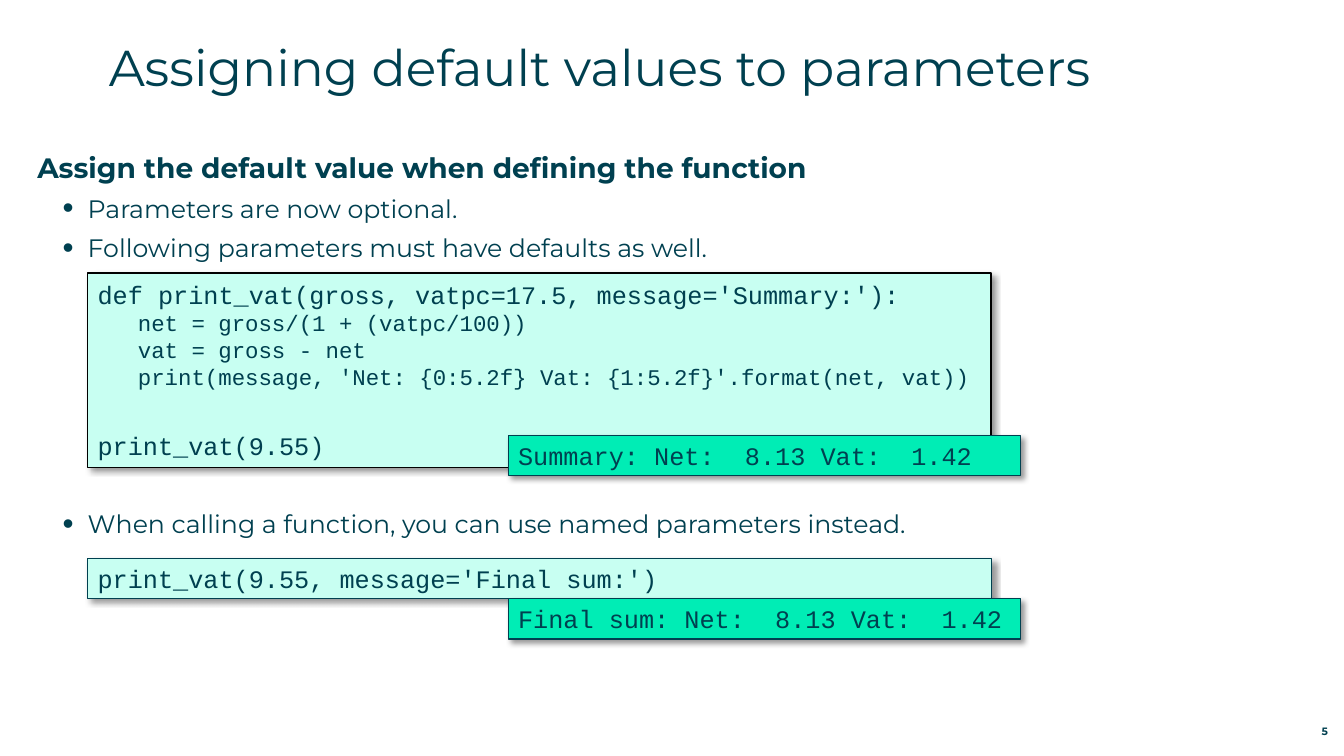
from lxml.etree import SubElement
from pptx import Presentation
from pptx.dml.color import RGBColor
from pptx.enum.shapes import MSO_SHAPE
from pptx.enum.text import MSO_ANCHOR, PP_ALIGN
from pptx.oxml.ns import qn
from pptx.util import Inches, Pt

INK, PALE, MINT = "004050", "C8FFF2", "00EDB5"
BODY, CODE = "Montserrat", "Courier New"


def color(code):
    return RGBColor.from_string(code)


class Deck:
    """Holds the text style and the current slide."""

    def __init__(self):
        self.show = Presentation()
        self.show.slide_width = Inches(13.33)
        self.show.slide_height = Inches(7.5)
        self.slide = self.show.slides.add_slide(self.show.slide_layouts[6])

    def setup(self, shape, side, top, anchor):
        frame = shape.text_frame
        frame.word_wrap = True
        frame.vertical_anchor = anchor
        frame.margin_left = frame.margin_right = Inches(side)
        frame.margin_top = frame.margin_bottom = Inches(top)
        return frame

    def line(self, frame, text, size, font=BODY, bold=False):
        para = frame.paragraphs[0]
        if para.runs:
            para = frame.add_paragraph()
        run = para.add_run()
        run.text = text
        run.font.name = font
        run.font.size = Pt(size)
        run.font.bold = bold
        run.font.color.rgb = color(INK)
        return para

    def text(self, x, y, w, h, anchor=MSO_ANCHOR.TOP):
        box = self.slide.shapes.add_textbox(Inches(x), Inches(y), Inches(w), Inches(h))
        return self.setup(box, 0, 0, anchor)

    def indent(self, para, left, hang=0):
        props = para._p.get_or_add_pPr()
        props.set("marL", str(Inches(left)))
        props.set("indent", str(Inches(hang)))
        return props

    def bullet(self, frame, text):
        para = self.line(frame, text, 18)
        para.space_after = Pt(6.5)
        props = self.indent(para, 0.5, -0.25)
        SubElement(props, qn("a:buSzPct"), val="125000")
        SubElement(props, qn("a:buFont"), typeface="Arial")
        SubElement(props, qn("a:buChar"), char="•")

    def shade(self, shape):
        effects = SubElement(shape._element.spPr, qn("a:effectLst"))
        outer = SubElement(effects, qn("a:outerShdw"), blurRad=str(Pt(4)),
                           dist=str(Pt(3)), dir="2700000", algn="tl", rotWithShape="0")
        tint = SubElement(outer, qn("a:srgbClr"), val="000000")
        SubElement(tint, qn("a:alpha"), val="40000")

    def panel(self, x, y, w, h, fill, rows, edge=INK, width=0.75, top=0.05):
        box = self.slide.shapes.add_shape(
            MSO_SHAPE.RECTANGLE, Inches(x), Inches(y), Inches(w), Inches(h))
        box.fill.solid()
        box.fill.fore_color.rgb = color(fill)
        box.line.color.rgb = color(edge)
        box.line.width = Pt(width)
        self.shade(box)
        frame = self.setup(box, 0.1, top, MSO_ANCHOR.TOP)
        for text, size, left, gap in rows:
            para = self.line(frame, text, size, CODE)
            para.alignment = PP_ALIGN.LEFT
            para.space_before = Pt(gap)
            self.indent(para, left)


def main():
    deck = Deck()
    deck.line(deck.text(1.08, 0.36, 12.2, 0.88), "Assigning default values to parameters", 36)

    intro = deck.text(0.37, 1.49, 12.59, 1.2)
    head = deck.line(intro, "Assign the default value when defining the function", 20, bold=True)
    head.space_after = Pt(6.5)
    deck.bullet(intro, "Parameters are now optional.")
    deck.bullet(intro, "Following parameters must have defaults as well.")
    deck.bullet(deck.text(0.37, 5.04, 12.59, 0.4),
                "When calling a function, you can use named parameters instead.")

    deck.panel(0.87, 2.71, 8.96, 1.93, PALE, [
        ("def print_vat(gross, vatpc=17.5, message='Summary:'):", 18, 0, 0),
        ("net = gross/(1 + (vatpc/100))", 16, 0.4, 0),
        ("vat = gross - net", 16, 0.4, 0),
        ("print(message, 'Net: {0:5.2f} Vat: {1:5.2f}'.format(net, vat))", 16, 0.4, 0),
        ("print_vat(9.55)", 18, 0, 29),
    ], edge="000000", width=1, top=0.06)
    for x, y, w, fill, text in (
        (5.04, 4.32, 5.08, MINT, "Summary: Net:  8.13 Vat:  1.42"),
        (0.87, 5.54, 8.96, PALE, "print_vat(9.55, message='Final sum:')"),
        (5.04, 5.94, 5.08, MINT, "Final sum: Net:  8.13 Vat:  1.42"),
    ):
        deck.panel(x, y, w, 0.4, fill, [(text, 18, 0, 0)])

    page = deck.text(12.31, 7.12, 0.86, 0.2, MSO_ANCHOR.BOTTOM)
    deck.line(page, "5", 7.6, bold=True).alignment = PP_ALIGN.RIGHT
    deck.show.save("out.pptx")


if __name__ == "__main__":
    main()
